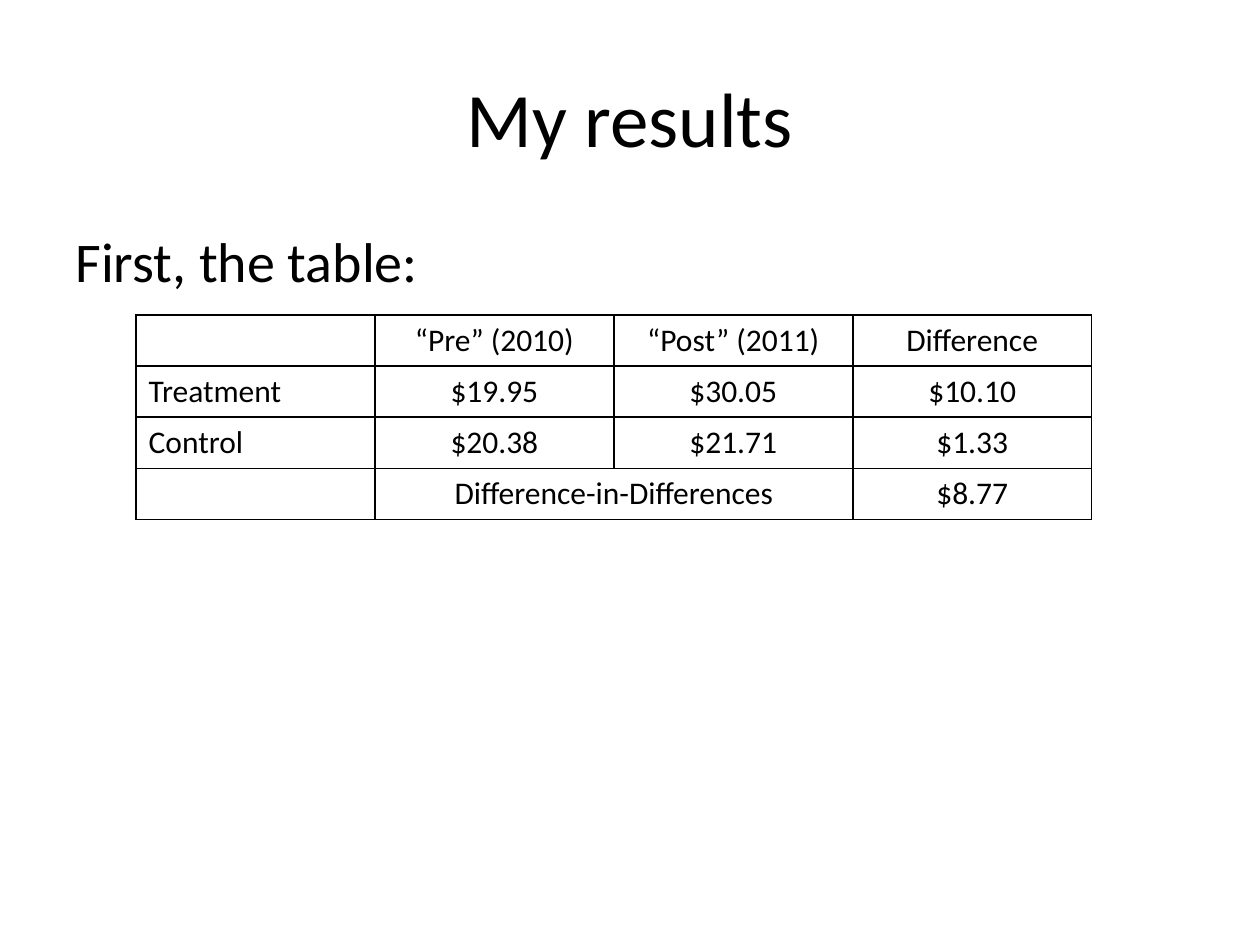
import dataclasses

import pptx
import pptx.dml.color
import pptx.enum.text
import pptx.oxml
import pptx.oxml.ns
import pptx.util

ALIGN = pptx.enum.text.PP_ALIGN
ANCHOR = pptx.enum.text.MSO_ANCHOR


@dataclasses.dataclass(frozen=True)
class Theme:
    font: str = "Calibri"
    ink: str = "000000"
    title: int = 44
    body: int = 32
    cell: int = 18
    rule: int = 1


class Deck:
    """Draws on one slide, with lengths in columns and rows of a 20 by 30 grid."""

    def __init__(self, theme):
        self.theme = theme
        self.file = pptx.Presentation()
        self.file.slide_width = pptx.util.Inches(10)
        self.file.slide_height = pptx.util.Inches(7.5)
        self.slide = self.file.slides.add_slide(self.file.slide_layouts[6])

    def area(self, left, top, width, height):
        col, row = self.file.slide_width / 20, self.file.slide_height / 30
        return [round(n) for n in (left * col, top * row, width * col, height * row)]

    def label(self, frame, text, size, align):
        line = frame.paragraphs[0]
        line.text = text
        line.alignment = align
        line.font.name = self.theme.font
        line.font.size = pptx.util.Pt(size)
        line.font.color.rgb = pptx.dml.color.RGBColor.from_string(self.theme.ink)

    def text(self, place, text, size, align=ALIGN.LEFT, anchor=ANCHOR.TOP):
        frame = self.slide.shapes.add_textbox(*self.area(*place)).text_frame
        frame.word_wrap = True
        frame.vertical_anchor = anchor
        self.label(frame, text, size, align)

    def border(self, cell):
        props = cell._tc.get_or_add_tcPr()
        width = pptx.util.Pt(self.theme.rule)
        for index, side in enumerate(("lnL", "lnR", "lnT", "lnB")):
            line = pptx.oxml.parse_xml(
                f'<a:{side} {pptx.oxml.ns.nsdecls("a")} w="{width}"><a:solidFill>'
                f'<a:srgbClr val="{self.theme.ink}"/></a:solidFill></a:{side}>'
            )
            props.insert(index, line)

    def table(self, place, rows, merges):
        size = len(rows), len(rows[0])
        grid = self.slide.shapes.add_table(*size, *self.area(*place)).table
        grid.first_row = grid.horz_banding = False
        for r, row in enumerate(rows):
            for c, text in enumerate(row):
                cell = grid.cell(r, c)
                cell.fill.background()
                self.border(cell)
                align = ALIGN.CENTER if c else ALIGN.LEFT
                self.label(cell.text_frame, text, self.theme.cell, align)
        for start, end in merges:
            grid.cell(*start).merge(grid.cell(*end))


def main():
    theme = Theme()
    deck = Deck(theme)
    deck.text((1, 1.2, 18, 5), "My results", theme.title, ALIGN.CENTER, ANCHOR.MIDDLE)
    deck.text((1, 7, 18, 19.8), "First, the table:", theme.body)
    rows = [
        ("", "“Pre” (2010)", "“Post” (2011)", "Difference"),
        ("Treatment", "$19.95", "$30.05", "$10.10"),
        ("Control", "$20.38", "$21.71", "$1.33"),
        ("", "Difference-in-Differences", "", "$8.77"),
    ]
    deck.table((2.16, 10, 15.17, 6.49), rows, [((3, 1), (3, 2))])
    deck.file.save("out.pptx")


if __name__ == "__main__":
    main()
